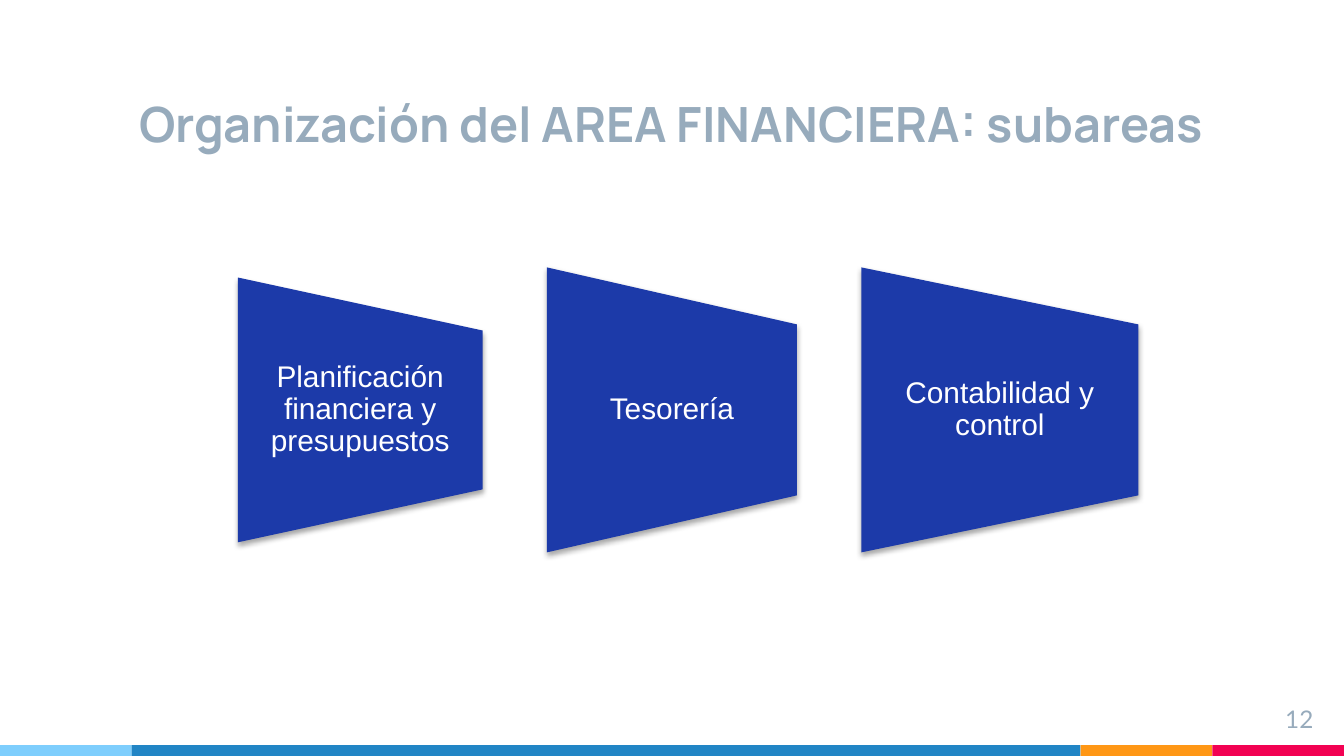
from dataclasses import dataclass

from lxml import etree
from pptx import Presentation
from pptx import util as u
from pptx.dml import color as c
from pptx.enum import shapes, text
from pptx.oxml import ns

WIDTH = 10
HEIGHT = WIDTH * 9 / 16


@dataclass(frozen=True)
class Theme:
    """Colours, fonts and type sizes of the slide."""
    muted: str = "97ABBC"
    panel: str = "1C3AA9"
    on_panel: str = "FFFFFF"
    shadow: str = "000000"
    stripes: tuple = ("7ECEFD", "2185C5", "FF9715", "F20253")
    heading_font: str = "Manrope"
    label_font: str = "Arial"
    number_font: str = "Lato"
    heading_size: int = 26
    label_size: int = 16
    number_size: int = 13


THEME = Theme()


def place(item, left, top, width, height):
    """Move and size an item in inches."""
    item.left, item.top = u.Inches(left), u.Inches(top)
    item.width, item.height = u.Inches(width), u.Inches(height)


def write(item, words, *, font, size, color, bold=False, align="CENTER",
          anchor="MIDDLE", inset=(0.1, 0.1), spacing=None):
    """Write one formatted paragraph into an item."""
    frame = item.text_frame
    frame.word_wrap = True
    frame.auto_size = text.MSO_AUTO_SIZE.NONE
    frame.vertical_anchor = text.MSO_ANCHOR[anchor]
    frame.margin_left = frame.margin_right = u.Inches(inset[0])
    frame.margin_top = frame.margin_bottom = u.Inches(inset[1])
    paragraph = frame.paragraphs[0]
    paragraph.alignment = text.PP_ALIGN[align]
    paragraph.line_spacing = spacing
    run = paragraph.add_run()
    run.text = words
    run.font.name, run.font.size, run.font.bold = font, u.Pt(size), bold
    run.font.color.rgb = c.RGBColor.from_string(color)


def add_solid(canvas, preset, box, color):
    """Add a preset shape with a plain fill and no line or shadow."""
    solid = canvas.add_shape(preset, *map(u.Inches, box))
    solid.shadow.inherit = False
    solid.fill.solid()
    solid.fill.fore_color.rgb = c.RGBColor.from_string(color)
    solid.line.fill.background()
    return solid


def cast_shadow(item):
    """Give an item a soft shadow falling straight down."""
    effects = item._element.spPr.find(ns.qn("a:effectLst"))
    shadow = etree.SubElement(
        effects, ns.qn("a:outerShdw"), blurRad=str(u.Pt(3.1)),
        dist=str(u.Pt(1.8)), dir="5400000", rotWithShape="0")
    color = etree.SubElement(shadow, ns.qn("a:srgbClr"), val=THEME.shadow)
    etree.SubElement(color, ns.qn("a:alpha"), val="35000")


def add_footer_stripes(slide):
    """Lay the coloured stripes along the bottom edge."""
    depth, edge = 0.08, 0.98
    left = 0
    widths = (edge, WIDTH - 3 * edge, edge, edge)
    for width, color in zip(widths, THEME.stripes):
        add_solid(slide.shapes, shapes.MSO_SHAPE.RECTANGLE,
                  (left, HEIGHT - depth, width, depth), color)
        left += width


def add_subarea(slide, name, left, middle, width, height):
    """Add a panel narrowing to the right, with its name in the middle."""
    group = slide.shapes.add_group_shape().shapes
    center = left + width / 2
    panel = add_solid(
        group, shapes.MSO_SHAPE.FLOWCHART_MANUAL_OPERATION,
        (center - height / 2, middle - width / 2, height, width), THEME.panel)
    panel.rotation = 270
    cast_shadow(panel)
    label_height = 0.6 * height
    label = group.add_textbox(*map(
        u.Inches, (left, middle - label_height / 2, width, label_height)))
    write(label, name, font=THEME.label_font, size=THEME.label_size,
          color=THEME.on_panel, inset=(0.12, 0), spacing=0.9)


def main():
    """Build the slide and save it."""
    deck = Presentation()
    deck.slide_width, deck.slide_height = u.Inches(WIDTH), u.Inches(HEIGHT)
    slide = deck.slides.add_slide(deck.slide_layouts[5])
    add_footer_stripes(slide)

    heading = slide.shapes.title
    place(heading, WIDTH / 12, 0.29, WIDTH * 10 / 12, 0.94)
    write(heading, "Organización del AREA FINANCIERA: subareas",
          font=THEME.heading_font, size=THEME.heading_size,
          color=THEME.muted, bold=True, anchor="BOTTOM")

    page_number = slide.shapes.add_textbox(
        *map(u.Inches, (9.27, 5.14, 0.6, 0.34)))
    write(page_number, "12", font=THEME.number_font, size=THEME.number_size,
          color=THEME.muted, align="RIGHT", anchor="TOP")

    left, gap = 1.77, 0.48
    for name, width, height in (
            ("Planificación financiera y presupuestos", 1.82, 1.97),
            ("Tesorería", 1.86, 2.12),
            ("Contabilidad y control", 2.06, 2.12)):
        add_subarea(slide, name, left, 3.05, width, height)
        left += width + gap

    deck.save("out.pptx")


if __name__ == "__main__":
    main()
